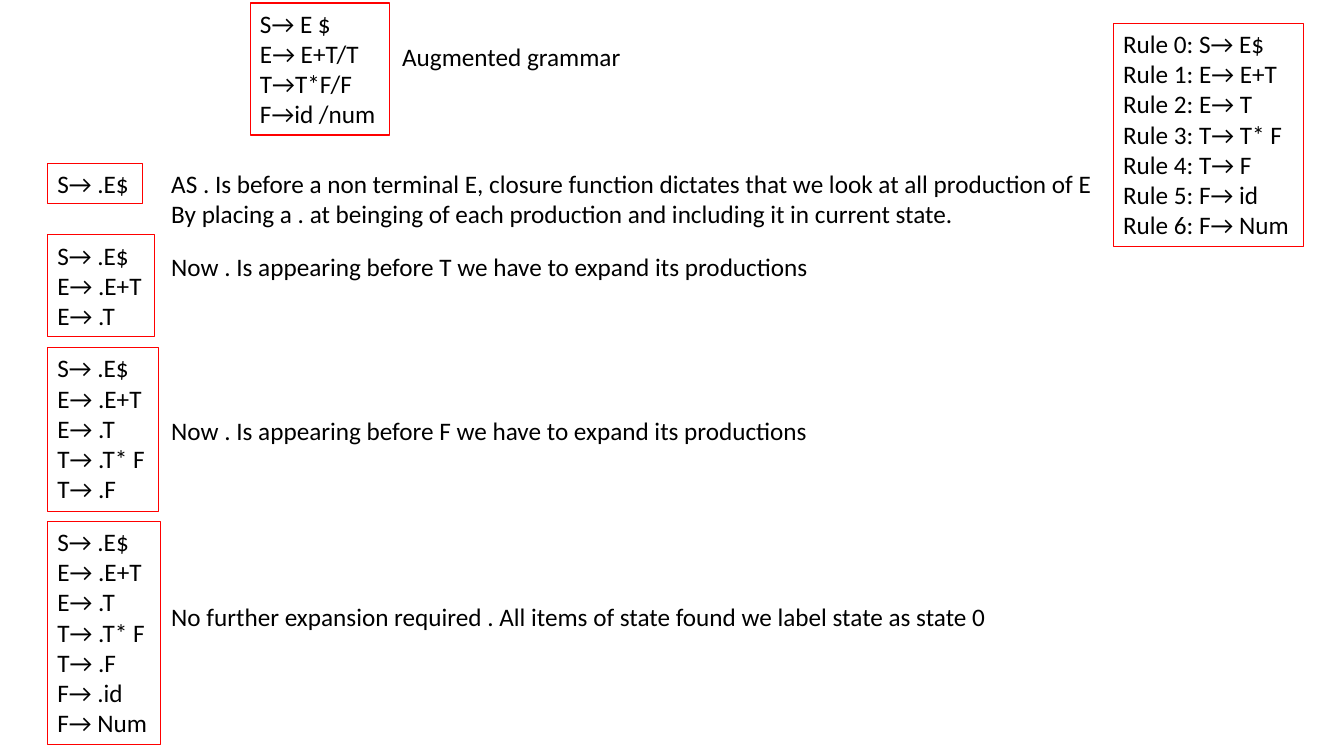
from pptx import Presentation
from pptx import util as u
from pptx.dml.color import RGBColor
from pptx.enum import shapes, text

PX = 9144


def color(value):
    return RGBColor.from_string(value)


def write_lines(shape, lines):
    frame = shape.text_frame
    frame.word_wrap = False
    frame.auto_size = text.MSO_AUTO_SIZE.SHAPE_TO_FIT_TEXT
    frame.vertical_anchor = text.MSO_ANCHOR.TOP
    frame.text = "\n".join(lines)
    for paragraph in frame.paragraphs:
        paragraph.alignment = text.PP_ALIGN.LEFT
        for run in paragraph.runs:
            run.font.name = "Calibri"
            run.font.size = u.Pt(18)
            run.font.color.rgb = color("000000")


presentation = Presentation()
presentation.slide_width = 1333 * PX
presentation.slide_height = 750 * PX
slide = presentation.slides.add_slide(presentation.slide_layouts[6])

grammar = ["S→ E $", "E→ E+T/T", "T→T*F/F", "F→id /num"]
productions = ["S→ E$", "E→ E+T", "E→ T", "T→ T* F", "T→ F", "F→ id", "F→ Num"]
rules = [f"Rule {number}: {production}" for number, production in enumerate(productions)]
items = ["S→ .E$", "E→ .E+T", "E→ .T", "T→ .T* F", "T→ .F", "F→ .id", "F→ Num"]

boxes = [
    (248, 3, 138, 131, grammar),
    (47, 162, 94, 40, items[:1]),
    (47, 233, 106, 101, items[:3]),
    (47, 345, 110, 162, items[:5]),
    (47, 517, 112, 222, items),
    (1104, 23, 189, 222, rules),
]
for left, top, width, height, lines in boxes:
    box = slide.shapes.add_shape(
        shapes.MSO_SHAPE.RECTANGLE, left * PX, top * PX, width * PX, height * PX
    )
    box.shadow.inherit = False
    box.fill.solid()
    box.fill.fore_color.rgb = color("FFFFFF")
    box.line.color.rgb = color("FF0000")
    box.line.width = u.Pt(0.75)
    write_lines(box, lines)

notes = [
    (389, 36, 239, 40, ["Augmented grammar"]),
    (160, 162, 944, 71, [
        "AS . Is before a non terminal E, closure function dictates that we look at all production of E",
        "By placing a . at beinging of each production and including it in current state.",
    ]),
    (160, 244, 660, 40, ["Now . Is appearing before T we have to expand its productions"]),
    (160, 407, 660, 40, ["Now . Is appearing before F we have to expand its productions"]),
    (160, 592, 831, 40, [
        "No further expansion required . All items of state found we label state as state 0"
    ]),
]
for left, top, width, height, lines in notes:
    note = slide.shapes.add_textbox(left * PX, top * PX, width * PX, height * PX)
    write_lines(note, lines)

presentation.save("out.pptx")
